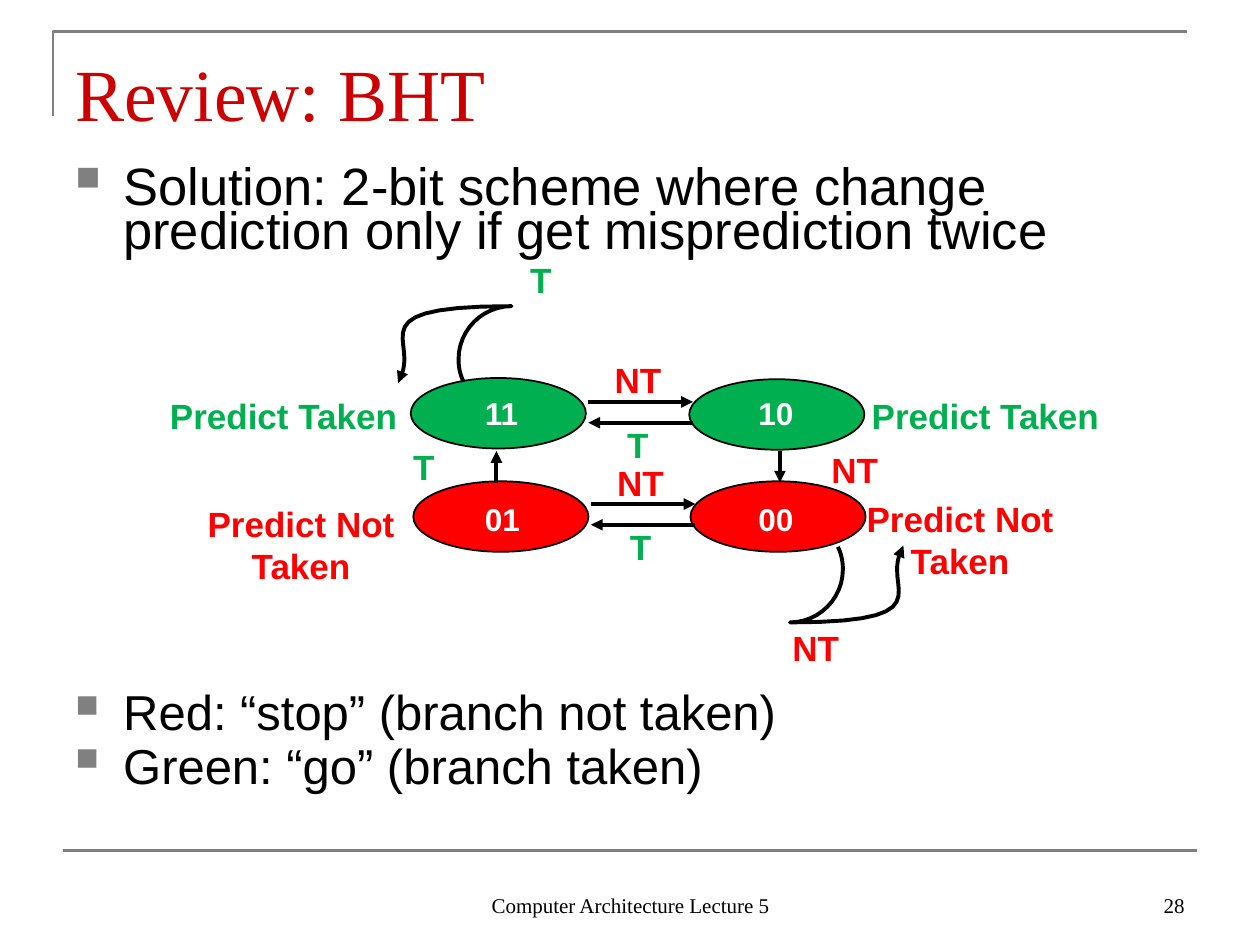
from collections import namedtuple

from lxml import etree
from pptx import Presentation
from pptx.dml.color import RGBColor
from pptx.enum.shapes import MSO_CONNECTOR, MSO_SHAPE
from pptx.enum.text import MSO_ANCHOR, PP_ALIGN
from pptx.oxml.ns import qn
from pptx.util import Inches, Pt

LEFT, CENTER, RIGHT = PP_ALIGN.LEFT, PP_ALIGN.CENTER, PP_ALIGN.RIGHT
TOP, BOTTOM = MSO_ANCHOR.TOP, MSO_ANCHOR.BOTTOM
OVAL, STRAIGHT = MSO_SHAPE.OVAL, MSO_CONNECTOR.STRAIGHT

# The slide is a grid of 100 columns by 75 rows of square cells
COLUMNS, ROWS = 100, 75
CELL = Inches(10) // COLUMNS

COLORS = {
    "black": "000000", "white": "FFFFFF", "gray": "808080",
    "title": "CC0000", "taken": "00B050", "not_taken": "FF0000",
}
SERIF, SANS = "Times New Roman", "Arial"
Box = namedtuple("Box", "left top width height")


def cells(*counts):
    return [round(count * CELL) for count in counts]


def inside(box, left, top, width=0, height=0):
    return Box(box.left + left, box.top + top, width, height)


def color(name):
    return RGBColor.from_string(COLORS[name])


def style_line(shape, name, points, arrow=False):
    shape.line.color.rgb = color(name)
    shape.line.width = Pt(points)
    if arrow:
        outline = shape.line._get_or_add_ln()
        etree.SubElement(outline, qn("a:tailEnd"), type="triangle")


def add_text(slide, box, lines, size, name, font=SANS, bold=False, align=LEFT,
             anchor=TOP, wrap=False, vertical_inset=0.5):
    text_box = slide.shapes.add_textbox(*cells(*box))
    frame = text_box.text_frame
    frame.word_wrap = wrap
    frame.vertical_anchor = anchor
    frame.margin_left, frame.margin_right = cells(1, 1)
    frame.margin_top, frame.margin_bottom = cells(vertical_inset, vertical_inset)
    frame.text = "\n".join(lines)
    for paragraph in frame.paragraphs:
        paragraph.alignment = align
        paragraph.font.size = Pt(size)
        paragraph.font.name = font
        paragraph.font.bold = bold
        paragraph.font.color.rgb = color(name)
    return frame


def add_line(slide, start, end, name="black", points=2.25, arrow=True):
    connector = slide.shapes.add_connector(STRAIGHT, *cells(*start, *end))
    style_line(connector, name, points, arrow)
    etree.SubElement(connector._element.spPr, qn("a:effectLst"))


def add_outline(slide, points, name, width, arrow=False):
    corners = [cells(*point) for point in points]
    builder = slide.shapes.build_freeform(*corners[0])
    builder.add_line_segments(corners[1:], close=False)
    shape = builder.convert_to_shape()
    shape.shadow.inherit = False
    shape.fill.background()
    style_line(shape, name, width, arrow)


def curve_points(start, curves, steps=12):
    """Sample a chain of cubic curves, each given as two handles and an end."""
    points = [start]
    for first, second, end in curves:
        for step in range(1, steps + 1):
            t = step / steps
            weights = ((1 - t) ** 3, 3 * t * (1 - t) ** 2, 3 * t * t * (1 - t), t ** 3)
            points.append(tuple(
                sum(weight * value for weight, value in zip(weights, values))
                for values in zip(start, first, second, end)))
        start = end
    return points


def add_frame(slide, box):
    # Corner bracket at the top, rule above the footer
    add_outline(slide, [(box.left, box.top + 6.7), (box.left, box.top),
                        (box.left + 90, box.top)], "gray", 1.5)
    rule = inside(box, 0.8, box.height)
    add_line(slide, rule[:2], (rule.left + 90, rule.top), "gray", 1.5, arrow=False)


def add_footer(slide, box):
    for text, left, width, align in (("Computer Architecture Lecture 5", 29.2, 31.7, CENTER),
                                     ("28", 66.7, 23.3, RIGHT)):
        add_text(slide, inside(box, left, 0, width, box.height), [text], 12, "black",
                 SERIF, align=align, anchor=BOTTOM, wrap=True)


def add_bullets(slide, box, lines, size):
    frame = add_text(slide, box, lines, size, "black", wrap=True, vertical_inset=0)
    indent = cells(3.8)[0]
    for index, paragraph in enumerate(frame.paragraphs):
        paragraph.line_spacing = 0.7
        paragraph.space_before = Pt(7 if index else 0)
        properties = paragraph._p.get_or_add_pPr()
        properties.set("marL", str(indent))
        properties.set("indent", str(-indent))
        # Bullet elements go ahead of the default run properties
        bullet_color = etree.Element(qn("a:buClr"))
        etree.SubElement(bullet_color, qn("a:srgbClr"), val=COLORS["gray"])
        bullet_size = etree.Element(qn("a:buSzPct"), val="65000")
        bullet_mark = etree.Element(qn("a:buChar"), char="■")
        defaults = properties.find(qn("a:defRPr"))
        for element in (bullet_color, bullet_size, bullet_mark):
            defaults.addprevious(element)


def add_label(slide, box, lines, name):
    add_text(slide, box, lines, 20, name, bold=True, align=CENTER if len(lines) > 1 else LEFT)


def add_exchange(slide, box):
    """Opposite arrows between two states in a row."""
    right = box.left + box.width
    add_label(slide, inside(box, 1.1, -3.9, 5.7, 4.3), ["NT"], "not_taken")
    add_label(slide, inside(box, 2.1, 1.2, 3.7, 4.3), ["T"], "taken")
    add_line(slide, (box.left, box.top), (right, box.top))
    back = box.top + box.height
    add_line(slide, (right, back), (box.left, back))


def add_state_diagram(slide, box):
    # Transition and prediction labels
    for lines, name, *place in (
            (["T"], "taken", 28.6, 0, 3.7, 4.3),
            (["T"], "taken", 19.3, 14.9, 3.7, 4.3),
            (["NT"], "not_taken", 52.5, 15.1, 5.7, 4.3),
            (["NT"], "not_taken", 49.4, 29.2, 5.7, 4.3),
            (["Predict Taken"], "taken", 0, 10.8, 20.2, 4.3),
            (["Predict Taken"], "taken", 55.7, 10.8, 20.2, 4.3),
            (["Predict Not", "Taken"], "not_taken", 2.6, 19.4, 17.6, 7.6),
            (["Predict Not", "Taken"], "not_taken", 54.9, 19, 17.6, 7.6)):
        add_label(slide, inside(box, *place), lines, name)

    # States with their codes
    for code, name, left, top, code_left, code_top in (
            ("11", "taken", 20.1, 10, 25, 10.8),
            ("10", "taken", 42.2, 10.1, 46.7, 10.8),
            ("01", "not_taken", 20.3, 18.2, 25, 19.2),
            ("00", "not_taken", 42.3, 18.2, 46.7, 19.2)):
        state = slide.shapes.add_shape(OVAL, *cells(*inside(box, left, top, 13.9, 5.6)))
        state.shadow.inherit = False
        state.fill.solid()
        state.fill.fore_color.rgb = color(name)
        style_line(state, "black", 1)
        add_text(slide, inside(box, code_left, code_top, 4.8, 4), [code], 18, "white", bold=True)

    # Self loops: the second is the first turned by half a circle
    loop = curve_points((24.3, 10.3), [
        ((24, 9.7), (23.9, 9.1), (23.9, 8.5)),
        ((23.9, 6.2), (25.8, 4.3), (28.1, 4.3)),
        ((17.7, 4.3), (19.6, 6.2), (19.6, 8.5)),
        ((19.6, 9.2), (19.4, 9.8), (19.1, 10.4))])
    turned = [(78.3 - x, 33.7 - y) for x, y in loop]
    for points in (loop, turned):
        add_outline(slide, [inside(box, *point)[:2] for point in points], "black", 2.25, arrow=True)

    # Arrows along the rows, then between them
    for left, top in ((34.2, 11.9), (34.4, 20)):
        add_exchange(slide, inside(box, left, top, 8.3, 1.65))
    for x, start, end in ((26.9, 18.3, 15.8), (49.4, 15.8, 18.3)):
        add_line(slide, inside(box, x, start)[:2], inside(box, x, end)[:2])


def main():
    presentation = Presentation()
    presentation.slide_width, presentation.slide_height = COLUMNS * CELL, ROWS * CELL
    slide = presentation.slides.add_slide(presentation.slide_layouts[6])
    add_frame(slide, Box(4.2, 2.5, 90.8, 65))
    add_footer(slide, Box(5, 68.3, 90, 5))
    add_text(slide, Box(5, 3, 90, 7.8), ["Review: BHT"], 42, "title", SERIF,
             anchor=BOTTOM, wrap=True, vertical_inset=0)
    add_bullets(slide, Box(5, 13.5, 90, 7), [
        "Solution: 2-bit scheme where change prediction only if get misprediction twice"], 30)
    add_state_diagram(slide, Box(12.5, 20, 76, 33.5))
    add_bullets(slide, Box(5, 55.4, 90, 8), [
        "Red: “stop” (branch not taken)", "Green: “go” (branch taken)"], 28)
    presentation.save("out.pptx")


if __name__ == "__main__":
    main()
